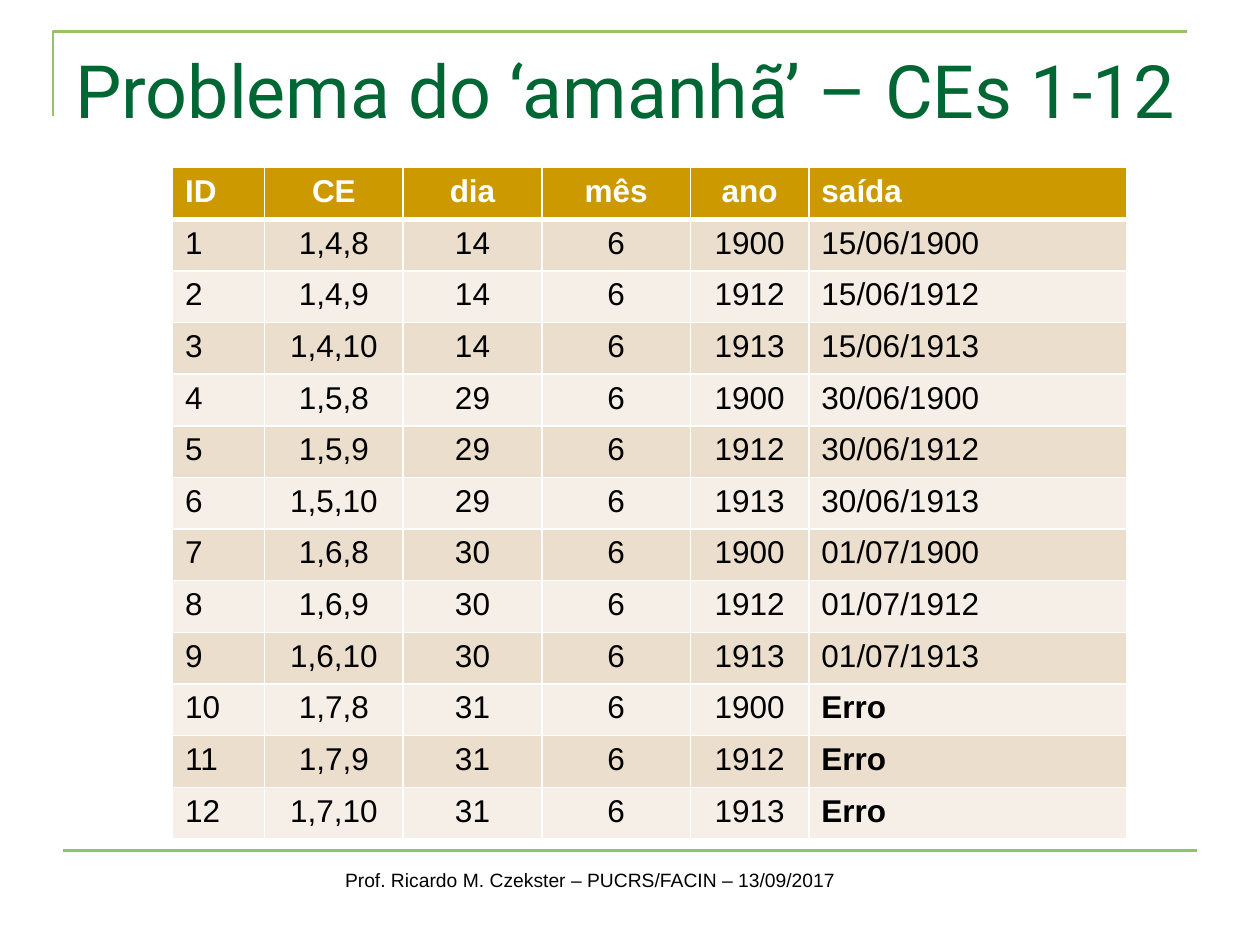
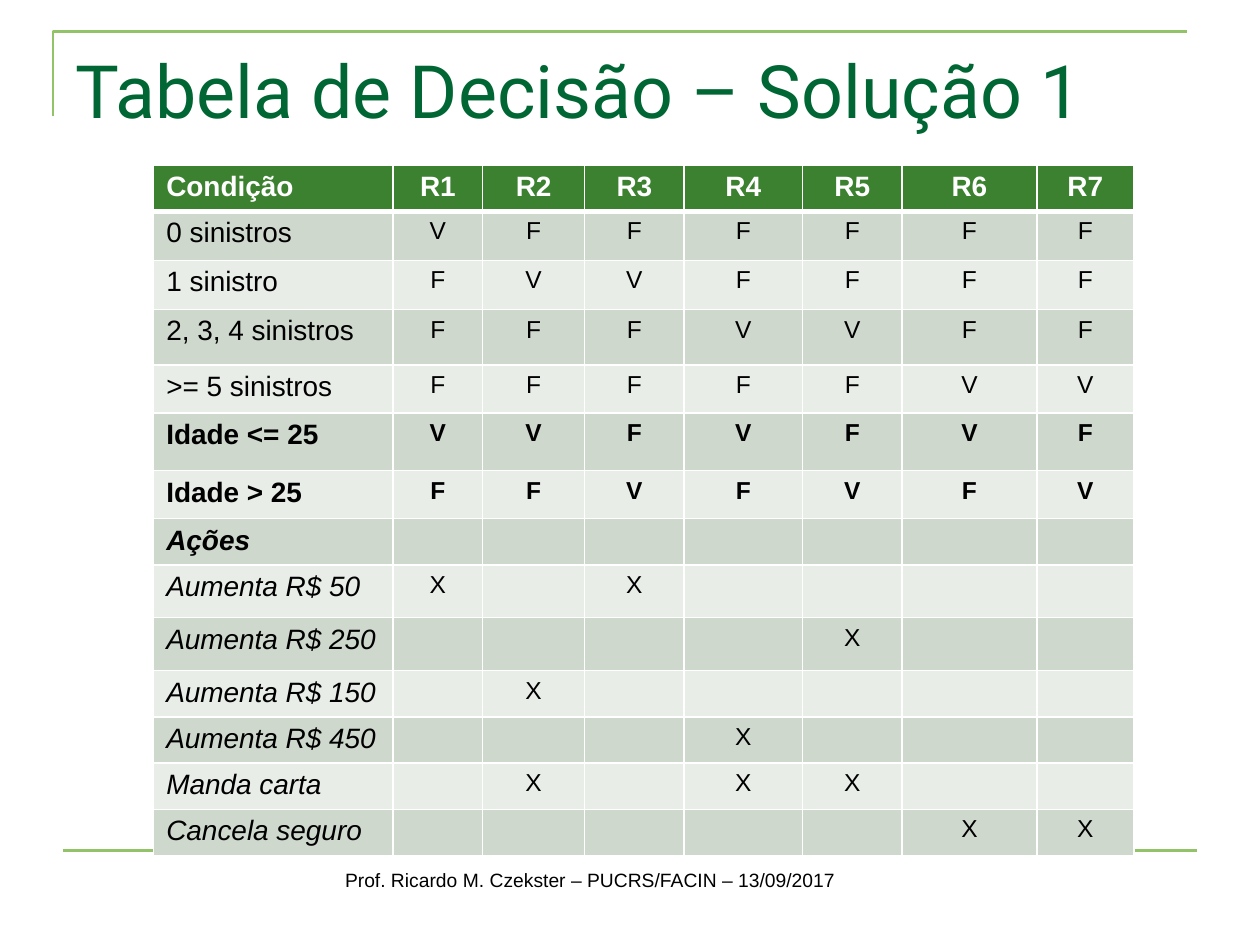
import itertools

import lxml.etree
import pptx
import pptx.dml.color
import pptx.enum.shapes
import pptx.enum.text
import pptx.oxml.ns
import pptx.util

PX = 9144  # 100 px to the inch
COLORS = {
    "white": "FFFFFF", "black": "000000", "title": "006633", "rule": "92C368",
    "gold": "CC9900", "gold dark band": "ECDECC", "gold light band": "F6EFE7",
    "green": "3B812F", "green dark band": "CED8CD", "green light band": "E8EDE8",
}
FOOTER = "Prof. Ricardo M. Czekster – PUCRS/FACIN – 13/09/2017"
CENTER = pptx.enum.text.PP_ALIGN.CENTER
LEFT = pptx.enum.text.PP_ALIGN.LEFT


def color(name):
    return pptx.dml.color.RGBColor.from_string(COLORS[name])


def points(size):
    return pptx.util.Pt(size)


class Deck:
    def __init__(self, width, height):
        self.presentation = pptx.Presentation()
        self.presentation.slide_width = width * PX
        self.presentation.slide_height = height * PX
        self.slide = None

    def add_slide(self, title):
        """Start a slide with the shared frame, footer and title."""
        layout = self.presentation.slide_layouts[6]
        self.slide = self.presentation.slides.add_slide(layout)
        self.corner([(42, 92), (42, 25), (942, 25)])
        self.rule(50, 675, 950, 675)
        self.text(FOOTER, (264, 684, 413, 29), {"size": points(11), "name": "Arial"},
                  "black", wrap=False)
        self.text(title, (50, 31, 895, 125), {"size": points(42), "name": "Roboto"}, "title")

    def style_line(self, shape):
        shape.line.color.rgb = color("rule")
        shape.line.width = points(1.5)

    def corner(self, vertices):
        builder = self.slide.shapes.build_freeform(*vertices[0], scale=PX)
        builder.add_line_segments(vertices[1:], close=False)
        shape = builder.convert_to_shape()
        shape.shadow.inherit = False
        shape.fill.background()
        self.style_line(shape)

    def rule(self, *ends):
        connector = self.slide.shapes.add_connector(
            pptx.enum.shapes.MSO_CONNECTOR.STRAIGHT, *(end * PX for end in ends))
        self.style_line(connector)
        lxml.etree.SubElement(connector._element.spPr, pptx.oxml.ns.qn("a:effectLst"))

    def styled_run(self, paragraph, text, formats, color_name):
        run = paragraph.add_run()
        run.text = text
        for attribute, value in formats.items():
            setattr(run.font, attribute, value)
        run.font.color.rgb = color(color_name)

    def text(self, text, box, formats, color_name, wrap=True):
        shape = self.slide.shapes.add_textbox(*(length * PX for length in box))
        shape.text_frame.word_wrap = wrap
        self.styled_run(shape.text_frame.paragraphs[0], text, formats, color_name)

    def border(self, cell, top, bottom):
        properties = cell._tc.get_or_add_tcPr()
        for side, width in {"L": 1, "R": 1, "T": top, "B": bottom}.items():
            line = lxml.etree.SubElement(properties, pptx.oxml.ns.qn(f"a:ln{side}"),
                                         w=str(points(width)))
            fill = lxml.etree.SubElement(line, pptx.oxml.ns.qn("a:solidFill"))
            lxml.etree.SubElement(fill, pptx.oxml.ns.qn("a:srgbClr"), val=COLORS["white"])

    def table(self, left, top, widths, heights, rows, theme, left_columns, size, cell_format):
        """Draw a banded table; cell_format gives the font of a body cell."""
        frame = self.slide.shapes.add_table(
            len(rows), len(widths), left * PX, top * PX, sum(widths) * PX, sum(heights) * PX)
        table = frame.table
        table.horz_banding = False
        for column, width in zip(table.columns, widths):
            column.width = width * PX
        for row, height in zip(table.rows, heights):
            row.height = height * PX
        bands = [f"{theme} light band", f"{theme} dark band"]
        for (i, row), j in itertools.product(enumerate(rows), range(len(widths))):
            cell = table.cell(i, j)
            self.border(cell, top=3 if i == 1 else 1, bottom=3 if i == 0 else 1)
            cell.fill.solid()
            cell.fill.fore_color.rgb = color(bands[i % 2] if i else theme)
            paragraph = cell.text_frame.paragraphs[0]
            paragraph.alignment = LEFT if j in left_columns else CENTER
            formats = {"name": "Arial", "size": points(size), "bold": i == 0}
            if i:
                formats.update(cell_format(row, j))
            if row[j]:
                self.styled_run(paragraph, row[j], formats, "black" if i else "white")
            else:  # an empty cell keeps a small line height
                lxml.etree.SubElement(paragraph._p, pptx.oxml.ns.qn("a:endParaRPr"),
                                      sz=str(int(formats["size"].pt * 100)))


def test_case_rows():
    """Every day class (4-7) combined with every year class (8-10)."""
    days = [(4, "14", "15/06"), (5, "29", "30/06"), (6, "30", "01/07"), (7, "31", None)]
    years = [(8, "1900"), (9, "1912"), (10, "1913")]
    rows = [["ID", "CE", "dia", "mês", "ano", "saída"]]
    for (day_class, day, tomorrow), (year_class, year) in itertools.product(days, years):
        result = f"{tomorrow}/{year}" if tomorrow else "Erro"
        rows.append([str(len(rows)), f"1,{day_class},{year_class}", day, "6", year, result])
    return rows


def test_case_format(row, column):
    return {"bold": row[column] == "Erro"}


# Condition or action, then one mark per rule; a dot leaves the cell empty
DECISIONS = [
    ("0 sinistros", "VFFFFFF"),
    ("1 sinistro", "FVVFFFF"),
    ("2, 3, 4 sinistros", "FFFVVFF"),
    (">= 5 sinistros", "FFFFFVV"),
    ("Idade <= 25", "VVFVFVF"),
    ("Idade > 25", "FFVFVFV"),
    ("Ações", "......."),
    ("Aumenta R$ 50", "X.X...."),
    ("Aumenta R$ 250", "....X.."),
    ("Aumenta R$ 150", ".X....."),
    ("Aumenta R$ 450", "...X..."),
    ("Manda carta", ".X.XX.."),
    ("Cancela seguro", ".....XX"),
]


def decision_rows():
    header = ["Condição"] + [f"R{number}" for number in range(1, 8)]
    return [header] + [[label, *(mark.strip(".") for mark in marks)]
                       for label, marks in DECISIONS]


def decision_format(row, column):
    label = row[0]
    formats = {"bold": label.startswith(("Idade", "Ações"))}
    if column:
        formats["size"] = points(14)
    else:
        formats["italic"] = label.startswith(("Ações", "Aumenta", "Manda", "Cancela"))
    return formats


def main():
    deck = Deck(1000, 750)

    # Test cases by equivalence class
    deck.add_slide("Problema do ‘amanhã’ – CEs 1-12")
    rows = test_case_rows()
    deck.table(137, 133, [73, 110, 110, 118, 94, 252], [41] * len(rows), rows,
               "gold", (0, 5), 18, test_case_format)

    # Decision table
    deck.add_slide("Tabela de Decisão – Solução 1")
    deck.table(122, 131, [190, 71, 81, 79, 94, 79, 107, 77],
               [36, 39, 39, 44, 38, 46, 38, 34, 42, 42, 24, 24, 25, 25],
               decision_rows(), "green", (0,), 16, decision_format)

    deck.presentation.save("out.pptx")


if __name__ == "__main__":
    main()
